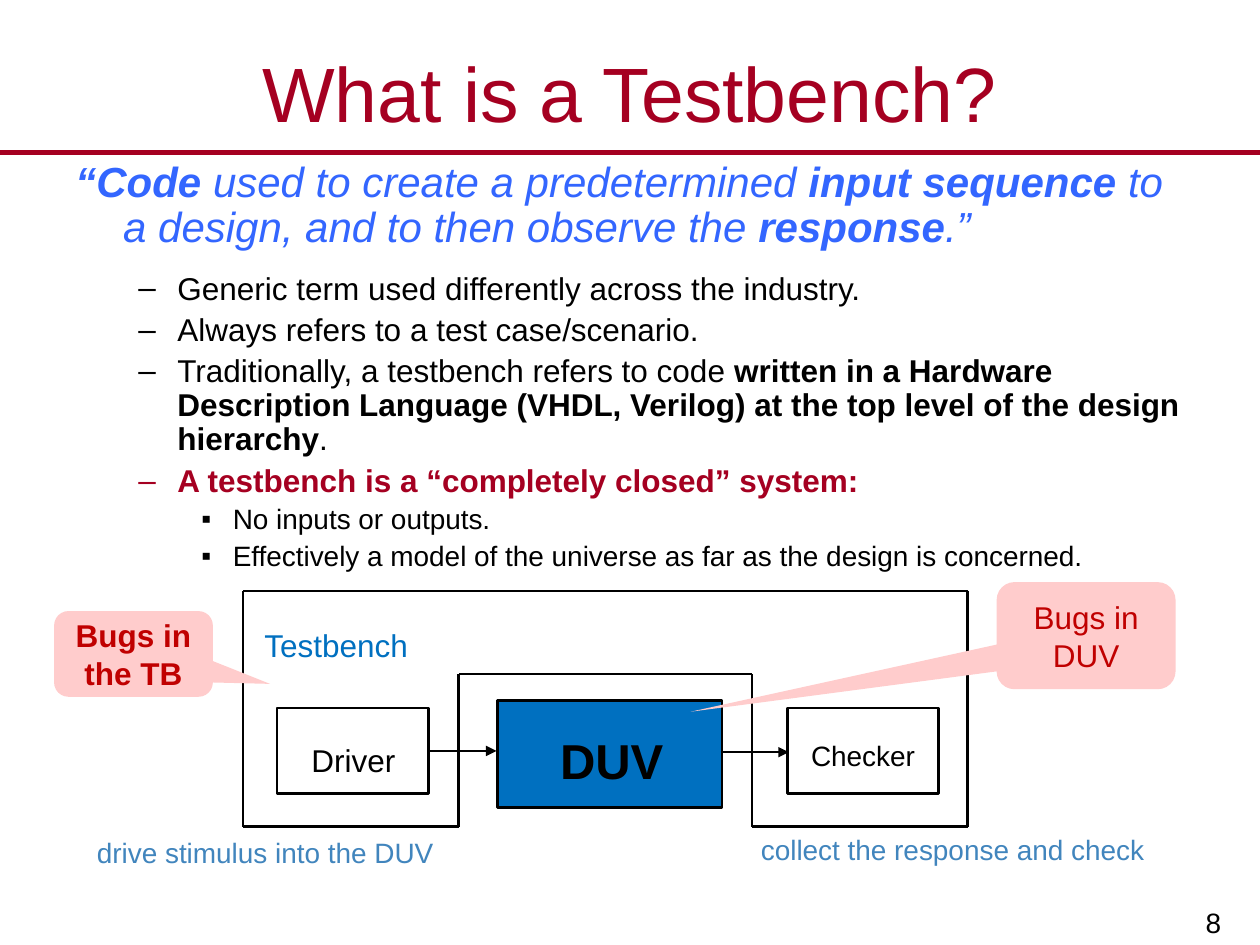
import itertools
from dataclasses import dataclass

import pptx
import pptx.dml.color
import pptx.enum.shapes
import pptx.enum.text
import pptx.oxml.ns
import pptx.util
from lxml import etree

Inches = pptx.util.Inches
Pt = pptx.util.Pt
SHAPE = pptx.enum.shapes.MSO_SHAPE
ALIGN = pptx.enum.text.PP_ALIGN
ANCHOR = pptx.enum.text.MSO_ANCHOR
qn = pptx.oxml.ns.qn


@dataclass(frozen=True)
class Theme:
    font: str = "Arial"
    black: str = "000000"
    crimson: str = "A50021"
    quote: str = "3366FF"
    blue: str = "0070C0"
    caption: str = "4185BD"
    callout: str = "FFCCCC"
    alert: str = "C00000"
    title_size: int = 44
    duv_size: int = 28
    quote_size: int = 24
    text_size: int = 18
    small_size: int = 16
    line: float = 1.5
    rule: float = 3


THEME = Theme()


def rgb(color):
    return pptx.dml.color.RGBColor.from_string(color)


def format_run(r, size, color, bold=False, italic=False):
    r.font.name = THEME.font
    r.font.size = Pt(size)
    r.font.color.rgb = rgb(color)
    r.font.bold = bold
    r.font.italic = italic


def set_text(sp, text, size, color, align=ALIGN.LEFT, anchor=ANCHOR.TOP, bold=False):
    tf = sp.text_frame
    tf.text = text
    tf.word_wrap = True
    tf.vertical_anchor = anchor
    p = tf.paragraphs[0]
    p.alignment = align
    format_run(p.runs[0], size, color, bold)


def add_label(s, box, *args, **kwargs):
    sp = s.shapes.add_textbox(*map(Inches, box))
    set_text(sp, *args, **kwargs)
    return sp


def add_line(s, start, end, color=THEME.black, width=THEME.line, arrow=False):
    kind = pptx.enum.shapes.MSO_CONNECTOR.STRAIGHT
    sp = s.shapes.add_connector(kind, *map(Inches, (*start, *end)))
    sp.line.color.rgb = rgb(color)
    sp.line.width = Pt(width)
    if arrow:
        ln = sp.line._get_or_add_ln()
        etree.SubElement(ln, qn("a:tailEnd"), type="triangle")
    etree.SubElement(sp._element.spPr, qn("a:effectLst"))


def add_block(s, box, fill=None):
    sp = s.shapes.add_shape(SHAPE.RECTANGLE, *map(Inches, box))
    sp.shadow.inherit = False
    if fill:
        sp.fill.solid()
        sp.fill.fore_color.rgb = rgb(fill)
    else:
        sp.fill.background()
    sp.line.color.rgb = rgb(THEME.black)
    sp.line.width = Pt(THEME.line)


def add_callout(s, box, tip, text, bold=False):
    sp = s.shapes.add_shape(SHAPE.ROUNDED_RECTANGULAR_CALLOUT, *map(Inches, box))
    sp.shadow.inherit = False
    sp.adjustments[0], sp.adjustments[1] = tip
    sp.fill.solid()
    sp.fill.fore_color.rgb = rgb(THEME.callout)
    sp.line.fill.background()
    set_text(sp, text, THEME.text_size, THEME.alert, ALIGN.CENTER, ANCHOR.MIDDLE, bold)


def add_paragraph(p, runs, size, color, margin, hang, before, bullet=None, italic=False):
    """Fill p with (text, bold) runs under a hanging indent."""
    pPr = p._p.get_or_add_pPr()
    pPr.set("marL", str(Inches(margin)))
    pPr.set("indent", str(-Inches(hang)))
    if bullet:
        etree.SubElement(pPr, qn("a:buFont"), typeface=THEME.font)
        etree.SubElement(pPr, qn("a:buChar"), char=bullet)
    else:
        etree.SubElement(pPr, qn("a:buNone"))
    p.line_spacing = 0.9
    p.space_before = Pt(before)
    for text, bold in runs:
        r = p.add_run()
        r.text = text
        format_run(r, size, color, bold, italic)


def add_body(s):
    tf = s.shapes.add_textbox(*map(Inches, (0.5, 1.23, 9, 5.48))).text_frame
    tf.word_wrap = True
    quote = [("“Code ", True), ("used to create a predetermined ", False),
             ("input sequence ", True),
             ("to a design, and to then observe the ", False),
             ("response", True), (".”", False)]
    add_paragraph(tf.paragraphs[0], quote, THEME.quote_size, THEME.quote,
                  0.38, 0.38, 0, italic=True)

    # First-level points; the first stands clear of the quote
    points = [
        ([("Generic term used differently across the industry.", False)], THEME.black, 12),
        ([("Always refers to a test case/scenario.", False)], THEME.black, 4.2),
        ([("Traditionally, a testbench refers to code ", False),
          ("written in a Hardware Description Language (VHDL, Verilog) "
           "at the top level of the design hierarchy", True),
          (".", False)], THEME.black, 4.2),
        ([("A testbench is a “completely closed” system:", True)], THEME.crimson, 4.2),
    ]
    for runs, color, before in points:
        add_paragraph(tf.add_paragraph(), runs, THEME.text_size, color,
                      0.81, 0.31, before, "–")

    # Second-level points
    for text in ("No inputs or outputs.",
                 "Effectively a model of the universe as far as the design is concerned."):
        add_paragraph(tf.add_paragraph(), [(text, False)], THEME.small_size,
                      THEME.black, 1.25, 0.25, 3.7, "▪")


def add_diagram(s):
    # Testbench outline wrapped around the DUV
    left, inner_left, inner_right, right = 1.93, 3.64, 5.97, 7.68
    top, inner_top, bottom = 4.69, 5.35, 6.56
    corners = [(left, top), (right, top), (right, bottom), (inner_right, bottom),
               (inner_right, inner_top), (inner_left, inner_top),
               (inner_left, bottom), (left, bottom), (left, top)]
    for start, end in itertools.pairwise(corners):
        add_line(s, start, end)
    add_label(s, (2, 4.92, 1.45, 0.4), "Testbench", THEME.text_size, THEME.blue)

    # Blocks and their labels
    add_block(s, (3.95, 5.56, 1.78, 0.85), THEME.blue)
    add_block(s, (2.2, 5.62, 1.2, 0.68))
    add_block(s, (6.25, 5.62, 1.2, 0.68))
    labels = [((2.14, 5.83, 1.33, 0.4), "Driver", THEME.text_size, False),
              ((6.28, 5.81, 1.14, 0.37), "Checker", THEME.small_size, False),
              ((4.29, 5.75, 1.13, 0.57), "DUV", THEME.duv_size, True)]
    for box, text, size, bold in labels:
        add_label(s, box, text, size, THEME.black, ALIGN.CENTER, bold=bold)

    # Signal flow
    add_line(s, (3.4, 5.96), (3.94, 5.96), arrow=True)
    add_line(s, (5.72, 5.97), (6.26, 5.97), arrow=True)

    # Captions and callouts
    add_label(s, (5.94, 6.56, 3.78, 0.42), "collect the response and check",
              THEME.small_size, THEME.caption)
    add_label(s, (0.67, 6.58, 3.62, 0.34), "drive stimulus into the DUV",
              THEME.small_size, THEME.caption)
    add_callout(s, (0.43, 4.85, 1.26, 0.68), (0.86, 0.35), "Bugs in the TB", bold=True)
    add_callout(s, (7.91, 4.62, 1.42, 0.85), (-2.21, 0.71), "Bugs in DUV")


def main():
    prs = pptx.Presentation()
    prs.slide_width, prs.slide_height = Inches(10), Inches(7.5)
    s = prs.slides.add_slide(prs.slide_layouts[6])

    # Title, rule and page number
    add_line(s, (0, 1.21), (10, 1.21), THEME.crimson, THEME.rule)
    add_label(s, (7.8, 6.93, 1.99, 0.57), "8", THEME.small_size, THEME.black,
              ALIGN.RIGHT, ANCHOR.BOTTOM)
    add_label(s, (0, 0.3, 10, 0.86), "What is a Testbench?", THEME.title_size,
              THEME.crimson, ALIGN.CENTER, ANCHOR.MIDDLE)

    add_body(s)
    add_diagram(s)
    prs.save("out.pptx")


if __name__ == "__main__":
    main()
